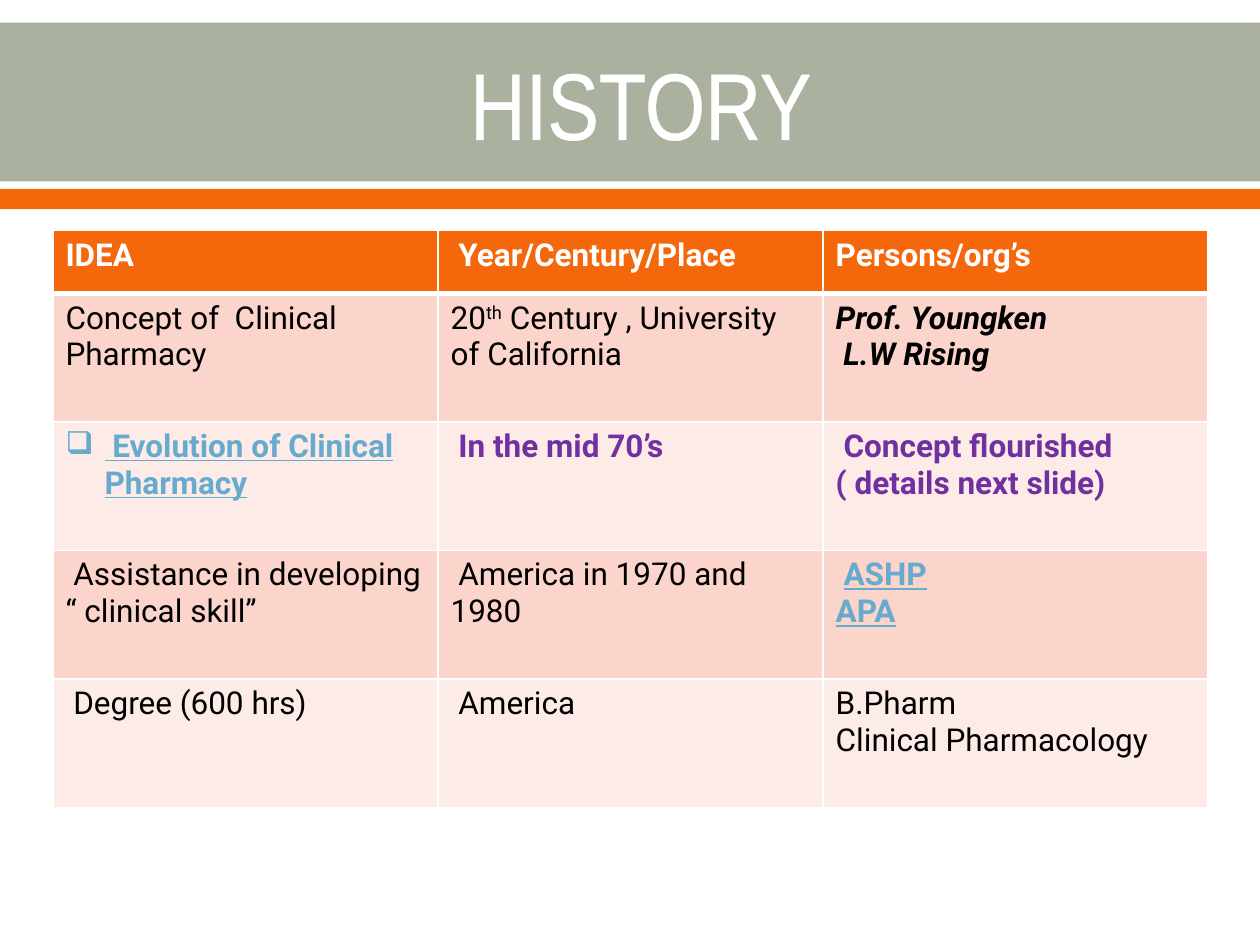
from pptx import Presentation
from pptx.dml.color import RGBColor
from pptx.enum.shapes import MSO_SHAPE
from pptx.enum.text import MSO_ANCHOR, PP_ALIGN
from pptx.oxml import parse_xml
from pptx.oxml.ns import nsdecls
from pptx.util import Inches, Pt

RECT = MSO_SHAPE.RECTANGLE
MIDDLE = MSO_ANCHOR.MIDDLE
CENTER = PP_ALIGN.CENTER

WHITE, BLACK = "FFFFFF", "000000"
SAGE, ORANGE = "ABB19F", "F4680B"
ROSE, BLUSH = "FBD4CC", "FDEBE7"
BLUE, PURPLE = "66AACD", "7030A0"


def rgb(code):
    return RGBColor.from_string(code)


def line_xml(tag, width):
    return parse_xml(
        f'<a:{tag} {nsdecls("a")} w="{int(Pt(width))}"><a:solidFill>'
        f'<a:srgbClr val="{WHITE}"/></a:solidFill></a:{tag}>')


class Deck:
    def __init__(self, font, size):
        self.font, self.size = font, size
        self.prs = Presentation()
        self.prs.slide_width, self.prs.slide_height = Inches(10), Inches(7.5)
        self.slide = self.prs.slides.add_slide(self.prs.slide_layouts[6])

    def band(self, top, height, color):
        bar = self.slide.shapes.add_shape(
            RECT, 0, Inches(top), Inches(10), Inches(height))
        bar.shadow.inherit = False
        bar.fill.solid()
        bar.fill.fore_color.rgb = rgb(color)
        bar.line.fill.background()

    def title(self, text, left, top, width, height):
        box = self.slide.shapes.add_textbox(
            *map(Inches, (left, top, width, height)))
        frame = box.text_frame
        frame.word_wrap = True
        frame.vertical_anchor = MIDDLE
        para = frame.paragraphs[0]
        para.alignment = CENTER
        run = para.add_run()
        run.text = text
        run.font.name, run.font.size = "Arial Narrow", Pt(54)
        run.font.color.rgb = rgb(WHITE)
        # White outline around the letters
        run._r.get_or_add_rPr().insert(0, line_xml("ln", 1.1))

    def style(self, font, color=BLACK, bold=False, italic=False, under=False):
        font.name, font.size = self.font, Pt(self.size)
        font.color.rgb = rgb(color)
        font.bold, font.italic, font.underline = bold, italic, under

    def bullet(self, para, mark, indent):
        props = para._p.get_or_add_pPr()
        props.set("marL", str(Inches(indent)))
        props.set("indent", str(-Inches(indent)))
        props.append(parse_xml(f'<a:buChar {nsdecls("a")} char="{mark}"/>'))

    def words(self, cell, lines, look, mark=None):
        """A line is a string, or a list of (text, look, baseline) runs."""
        frame = cell.text_frame
        for i, line in enumerate(lines):
            para = frame.add_paragraph() if i else frame.paragraphs[0]
            if mark:
                self.bullet(para, mark, 0.31)
            mixed = not isinstance(line, str)
            if not mixed:
                self.style(para.font, **look)
            for text, own, base in line if mixed else [(line, look, 0)]:
                run = para.add_run()
                run.text = text
                self.style(run.font, **own)
                if base:
                    run._r.get_or_add_rPr().set("baseline", str(base * 1000))

    def paint(self, cell, color, under):
        cell.fill.solid()
        cell.fill.fore_color.rgb = rgb(color)
        sides = (("lnL", 1), ("lnR", 1), ("lnT", 1), ("lnB", under))
        for i, (tag, width) in enumerate(sides):
            cell._tc.get_or_add_tcPr().insert(i, line_xml(tag, width))

    def table(self, left, top, width, heights, rows):
        count = len(rows[0])
        grid = self.slide.shapes.add_table(
            len(rows), count, Inches(left), Inches(top),
            Inches(width), Inches(sum(heights))).table
        grid.first_row = grid.horz_banding = False
        for col in grid.columns:
            col.width = Inches(width / count)
        for r, row in enumerate(rows):
            grid.rows[r].height = Inches(heights[r])
            color = ORANGE if r == 0 else ROSE if r % 2 else BLUSH
            for c, item in enumerate(row):
                cell = grid.cell(r, c)
                self.paint(cell, color, 1 if r else 3)
                self.words(cell, *item)


PLAIN = {}
HEAD = dict(color=WHITE, bold=True)
NAME = dict(bold=True, italic=True)
LINK = dict(color=BLUE, bold=True, under=True)
NOTE = dict(color=PURPLE, bold=True)

ROWS = [
    [(["IDEA"], HEAD), ([" Year/Century/Place"], HEAD),
     (["Persons/org’s"], HEAD)],
    [(["Concept of  Clinical Pharmacy"], PLAIN),
     ([[("20", PLAIN, 0), ("th", PLAIN, 30),
        (" Century , University of California", PLAIN, 0)]], PLAIN),
     (["Prof. Youngken", [(" ", dict(italic=True), 0),
                          ("L.W Rising", NAME, 0)]], NAME)],
    [([" Evolution of Clinical Pharmacy"], LINK, "❑"),
     ([" In the mid 70’s"], NOTE),
     ([" Concept flourished", "( details next slide)"], NOTE)],
    [([" Assistance in developing", "“ clinical skill”"], PLAIN),
     ([" America in 1970 and 1980"], PLAIN),
     ([[(" ", PLAIN, 0), ("ASHP", LINK, 0)], "APA"], LINK)],
    [([" Degree (600 hrs)"], PLAIN), ([" America"], PLAIN),
     (["B.Pharm", "Clinical Pharmacology"], PLAIN)],
]


def main():
    deck = Deck("Roboto", 18)
    # Header bands and title
    deck.band(0.18, 1.26, SAGE)
    deck.band(1.5, 0.16, ORANGE)
    deck.title(" HISTORY", 0.5, 0.2, 9, 1.22)
    # History table
    deck.table(0.42, 1.83, 9.17, [0.5] + [1.02] * 4, ROWS)
    deck.prs.save("out.pptx")


if __name__ == "__main__":
    main()
